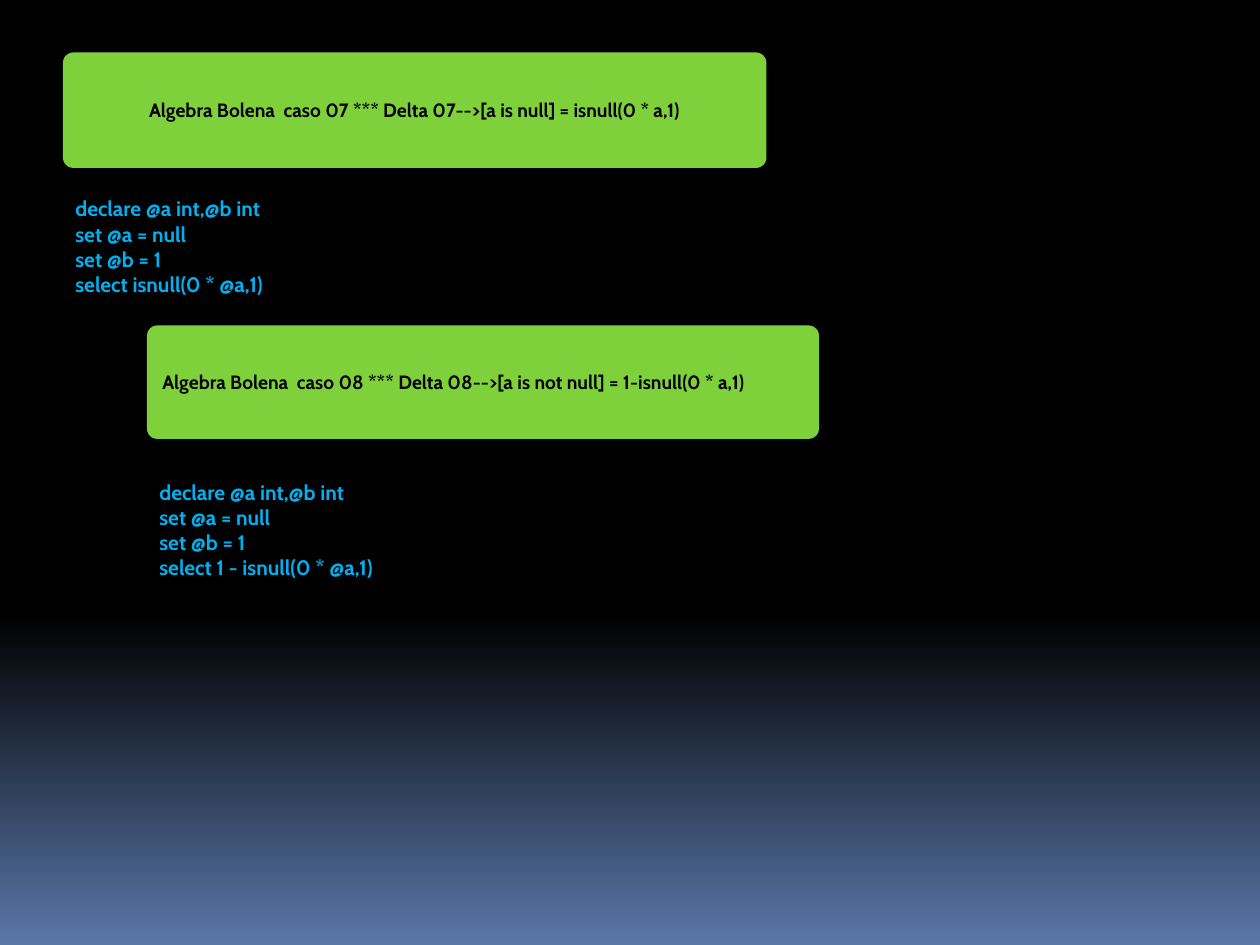
from copy import deepcopy

from pptx import Presentation
from pptx.dml.color import RGBColor
from pptx.enum.shapes import MSO_SHAPE
from pptx.enum.text import MSO_ANCHOR, MSO_AUTO_SIZE, PP_ALIGN
from pptx.util import Inches, Pt

ROUND = MSO_SHAPE.ROUNDED_RECTANGLE
MIDDLE = MSO_ANCHOR.MIDDLE
GROW = MSO_AUTO_SIZE.SHAPE_TO_FIT_TEXT
LEFT, CENTER = PP_ALIGN.LEFT, PP_ALIGN.CENTER

BLACK = RGBColor(0x00, 0x00, 0x00)
SLATE = RGBColor(0x5A, 0x77, 0xA9)
GREEN = RGBColor(0x7F, 0xD1, 0x3B)
CYAN = RGBColor(0x00, 0xB0, 0xF0)

COLS, ROWS = 120, 90


class Deck:
    font = {"name": "Cabin", "bold": True}
    title = {"size": Pt(11)}
    code = {"size": Pt(12)}

    def __init__(self):
        self.file = Presentation()
        self.file.slide_width = Inches(10)
        self.file.slide_height = Inches(7.5)
        self.slide = self.file.slides.add_slide(self.file.slide_layouts[6])

    def place(self, col, row, wide, high):
        unit_x = self.file.slide_width / COLS
        unit_y = self.file.slide_height / ROWS
        return [round(n) for n in (col * unit_x, row * unit_y,
                                   wide * unit_x, high * unit_y)]

    def backdrop(self):
        fill = self.slide.background.fill
        fill.gradient()
        fill.gradient_angle = 270
        stops = fill.gradient_stops
        for stop, color, place in zip(stops, (BLACK, SLATE), (0, 1)):
            stop.color.rgb = color
            stop.position = place
        first = stops[0]._gs
        first.addnext(deepcopy(first))
        fill.gradient_stops[1].position = 0.65

    def label(self, shape, lines, style, color, align):
        frame = shape.text_frame
        frame.word_wrap = True
        frame.vertical_anchor = MIDDLE
        frame.text = "\n".join(lines)
        for para in frame.paragraphs:
            para.alignment = align
            font = para.runs[0].font
            for key, value in {**self.font, **style}.items():
                setattr(font, key, value)
            font.color.rgb = color

    def banner(self, text, box, align):
        shape = self.slide.shapes.add_shape(ROUND, *self.place(*box))
        shape.adjustments[0] = 0.09
        shape.shadow.inherit = False
        shape.fill.solid()
        shape.fill.fore_color.rgb = GREEN
        shape.line.fill.background()
        self.label(shape, [text], self.title, BLACK, align)

    def query(self, last, box):
        shape = self.slide.shapes.add_textbox(*self.place(*box))
        lines = ["declare @a int,@b int", "set @a = null", "set @b = 1", last]
        self.label(shape, lines, self.code, CYAN, LEFT)
        shape.text_frame.auto_size = GROW


def main():
    deck = Deck()
    deck.backdrop()
    deck.banner("Algebra Bolena  caso 07 *** Delta 07-->[a is null] = isnull(0 * a,1)",
                (6, 5, 67, 11), CENTER)
    deck.query("select isnull(0 * @a,1)", (6, 18, 71, 10.9))
    deck.banner("Algebra Bolena  caso 08 *** Delta 08-->[a is not null] = 1-isnull(0 * a,1)",
                (14, 31, 64, 10.8), LEFT)
    deck.query("select 1 - isnull(0 * @a,1)", (14, 45, 71, 10.9))
    deck.file.save("out.pptx")


if __name__ == "__main__":
    main()
